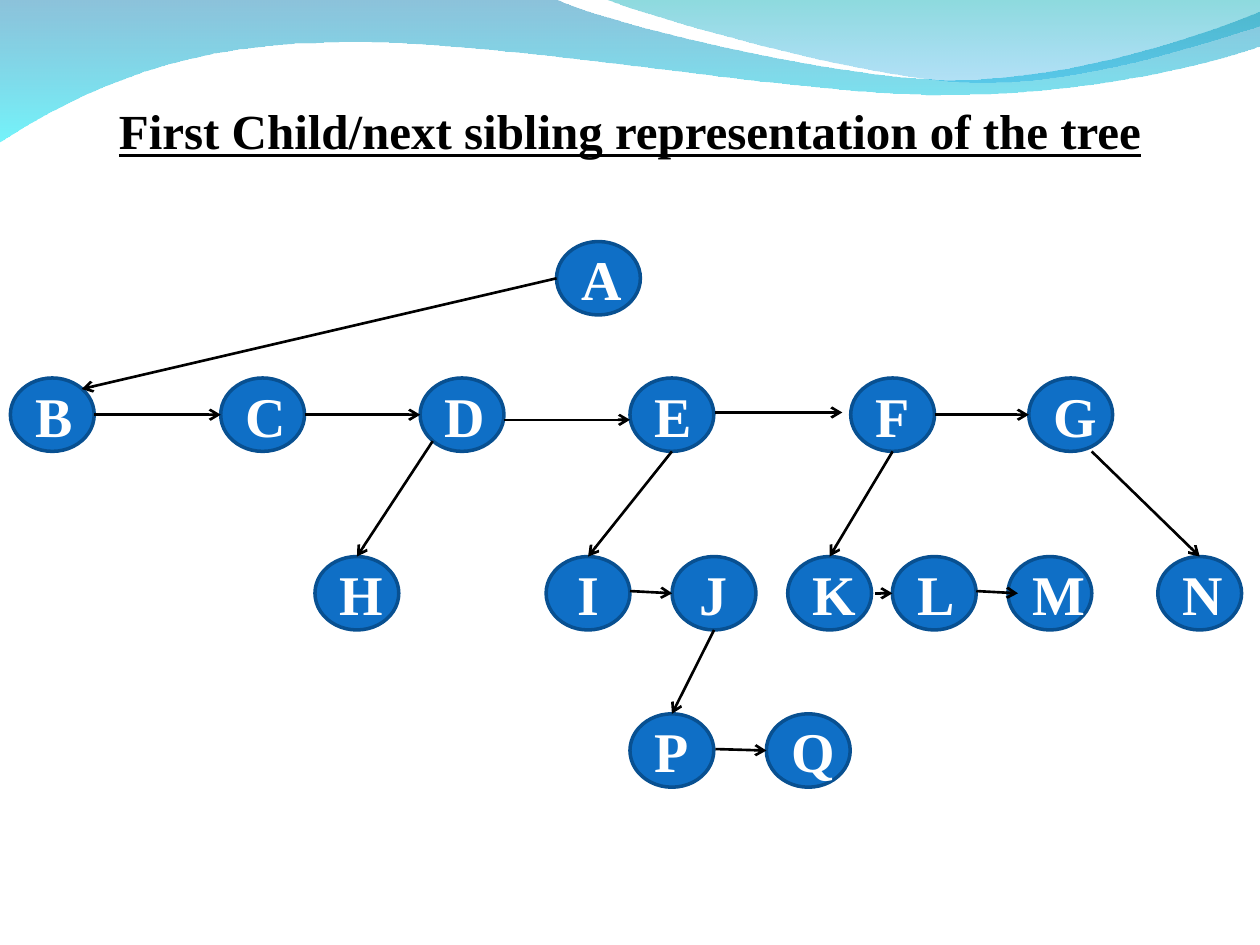
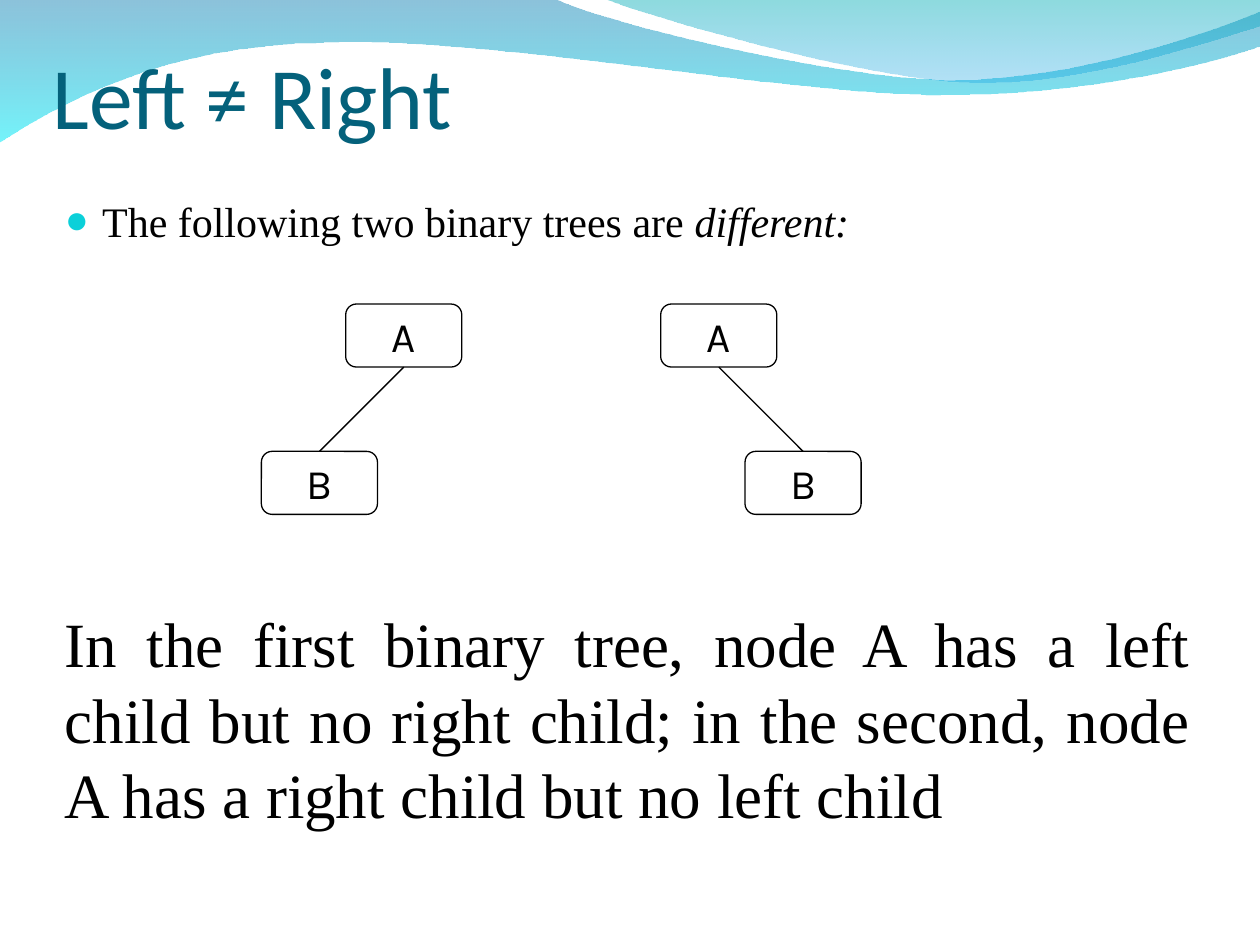
"""Build two slides on tree representation and binary trees."""
from dataclasses import dataclass
from typing import NamedTuple

from lxml.etree import SubElement
from pptx import Presentation
from pptx.dml.color import RGBColor
from pptx.enum.shapes import MSO_CONNECTOR, MSO_SHAPE
from pptx.enum.text import MSO_ANCHOR as Anchor, PP_ALIGN as Align
from pptx.oxml.ns import qn
from pptx.util import Cm, Pt

Point = tuple[float, float]


@dataclass(frozen=True)
class Theme:
    black: str = "000000"
    white: str = "FFFFFF"
    title: str = "04617B"
    bullet: str = "0BD0D9"
    node: str = "0F6FC6"
    node_edge: str = "085091"
    serif: str = "Times New Roman"
    sans: str = "Calibri"
    box_font: str = "Karla"
    heading_size: int = 28
    title_size: int = 50
    node_size: int = 32
    body_size: int = 24
    remark_size: int = 36
    edge_width: float = 0.75
    arrow_width: float = 1.5
    node_width: float = 2


class Style(NamedTuple):
    font: str
    size: int
    color: str
    bold: bool = False
    underline: bool = False


class Stop(NamedTuple):
    color: str
    alpha: int


class Wave(NamedTuple):
    start: Point
    segments: list[tuple[Point, ...]]
    stops: tuple[Stop, Stop]


class Area(NamedTuple):
    left: float
    top: float
    width: float
    height: float

    def at(self, across: float, down: float) -> Point:
        return self.left + across * self.width, self.top + down * self.height


class Link(NamedTuple):
    source: str
    target: str
    leaving: Point = (1, 0.5)
    arriving: Point = (0, 0.5)


THEME = Theme()
HEADING = Style(THEME.serif, THEME.heading_size, THEME.black, True, True)
TITLE = Style(THEME.sans, THEME.title_size, THEME.title)
BODY = Style(THEME.serif, THEME.body_size, THEME.black)
REMARK = Style(THEME.serif, THEME.remark_size, THEME.black)
NODE = Style(THEME.serif, THEME.node_size, THEME.white, True)
BOX = Style(THEME.box_font, THEME.body_size, THEME.black)

WAVES = [
    Wave((0, -0.03), [
        ((11.18, -0.03),),
        ((12.09, 0.43), (16.87, 1.6), (19.25, 1.6)),
        ((21.67, 1.6), (24.33, 0.66), (25.4, 0.23)),
        ((25.43, 0.91),),
        ((24.97, 1.12), (22.1, 1.93), (18.95, 1.91)),
        ((15.8, 1.91), (9.7, 0.71), (6.53, 0.86)),
        ((3.28, 0.89), (1.17, 2.11), (-0.03, 2.87)),
        ((0, -0.03),),
    ], (Stop("0079AF", 45), Stop("00EBF8", 55))),
    Wave((12.17, -0.03), [
        ((12.93, 0.28), (17.32, 1.57), (19.53, 1.65)),
        ((21.74, 1.75), (24.41, 0.81), (25.4, 0.53)),
        ((25.4, 0),),
        ((12.17, -0.03),),
    ], (Stop("00ADB6", 45), Stop("009BE5", 30))),
]

LEVELS = {
    4.87: {"A": 11.22},
    7.62: {"B": 0.21, "C": 4.45, "D": 8.47, "E": 12.7, "F": 17.15, "G": 20.74},
    11.22: {"H": 6.35, "I": 11.01, "J": 13.55, "K": 15.88, "L": 17.99,
            "M": 20.32, "N": 23.34},
    14.39: {"P": 12.7, "Q": 15.45},
}
BOTTOM, TOP = (0.5, 1), (0.5, 0)
LINKS = [
    Link("A", "B", (0, 0.5), (0.85, 0.15)),
    Link("B", "C"),
    Link("I", "J", (1, 0.47)),
    Link("E", "I", BOTTOM, TOP),
    Link("D", "H", (0.15, 0.86), TOP),
    Link("F", "G"),
    Link("C", "D"),
    Link("E", "F", (1.02, 0.47), (-0.1, 0.47)),
    Link("D", "E", (1, 0.57), (0, 0.57)),
    Link("L", "M", (1, 0.47), (0.12, 0.5)),
    Link("K", "L", (1.04, 0.5)),
    Link("F", "K", BOTTOM, TOP),
    Link("J", "P", BOTTOM, TOP),
    Link("P", "Q", (1.02, 0.48)),
    Link("G", "N", (0.75, 1), TOP),
]


def rgb(color: str) -> RGBColor:
    return RGBColor.from_string(color)


def bend(band, wave: Wave) -> None:
    outline = band._element.find(".//" + qn("a:path"))
    corners = iter(outline.findall(qn("a:lnTo")))
    for segment in wave.segments:
        lines = [next(corners) for _ in segment]
        if len(lines) == 3:
            curve = SubElement(outline, qn("a:cubicBezTo"))
            lines[0].addprevious(curve)
            for line in lines:
                curve.append(line[0])
                outline.remove(line)


def draw_wave(slide, wave: Wave) -> None:
    corners = [(Cm(x), Cm(y)) for segment in wave.segments for x, y in segment]
    builder = slide.shapes.build_freeform(*map(Cm, wave.start), scale=1)
    builder.add_line_segments(corners, close=True)
    band = builder.convert_to_shape()
    bend(band, wave)
    band.shadow.inherit = False
    band.line.fill.background()
    band.fill.gradient()
    band.fill.gradient_angle = 270
    for stop, wanted in zip(band.fill.gradient_stops, wave.stops):
        stop.color.rgb = rgb(wanted.color)
    for color, wanted in zip(band._element.spPr.iter(qn("a:srgbClr")), wave.stops):
        SubElement(color, qn("a:alpha"), val=str(wanted.alpha * 1000))


def add_run(paragraph, words: str, style: Style, italic: bool = False) -> None:
    run = paragraph.add_run()
    run.text = words
    font = run.font
    font.name, font.size, font.color.rgb = style.font, Pt(style.size), rgb(style.color)
    font.bold, font.underline, font.italic = style.bold, style.underline, italic


def add_text(slide, area: Area, words: str, style: Style, align: Align = Align.LEFT):
    frame = slide.shapes.add_textbox(*map(Cm, area)).text_frame
    frame.word_wrap = True
    frame.paragraphs[0].alignment = align
    add_run(frame.paragraphs[0], words, style)
    return frame


def add_bullet(paragraph) -> None:
    properties = paragraph._p.get_or_add_pPr()
    properties.set("marL", str(Cm(0.75)))
    properties.set("indent", str(-Cm(0.75)))
    tint = SubElement(properties, qn("a:buClr"))
    SubElement(tint, qn("a:srgbClr"), val=THEME.bullet)
    SubElement(properties, qn("a:buSzPct"), val="95000")
    SubElement(properties, qn("a:buFont"), typeface=THEME.serif)
    SubElement(properties, qn("a:buChar"), char="●")


def add_node(slide, kind: MSO_SHAPE, area: Area, letter: str, style: Style,
             edge: str, width: float, fill: str | None = None):
    node = slide.shapes.add_shape(kind, *map(Cm, area))
    node.shadow.inherit = False
    if fill:
        node.fill.solid()
        node.fill.fore_color.rgb = rgb(fill)
    else:
        node.fill.background()
    node.line.color.rgb, node.line.width = rgb(edge), Pt(width)
    frame = node.text_frame
    frame.vertical_anchor = Anchor.MIDDLE
    frame.paragraphs[0].alignment = Align.CENTER
    add_run(frame.paragraphs[0], letter, style)
    return node


def add_edge(slide, start: Point, end: Point, width: float, arrow: bool = False) -> None:
    edge = slide.shapes.add_connector(MSO_CONNECTOR.STRAIGHT, *map(Cm, start + end))
    edge.line.color.rgb, edge.line.width = rgb(THEME.black), Pt(width)
    properties = edge._element.spPr
    if arrow:
        SubElement(properties.find(qn("a:ln")), qn("a:tailEnd"), type="arrow")
    SubElement(properties, qn("a:effectLst"))


def add_slide(deck):
    slide = deck.slides.add_slide(deck.slide_layouts[6])
    for wave in WAVES:
        draw_wave(slide, wave)
    return slide


def sibling_slide(deck) -> None:
    slide = add_slide(deck)
    add_text(slide, Area(0.85, 1.91, 23.7, 2.64),
             "First Child/next sibling representation of the tree", HEADING, Align.CENTER)
    places = {letter: Area(left, top, 1.69, 1.48)
              for top, level in LEVELS.items() for letter, left in level.items()}
    for letter, area in places.items():
        add_node(slide, MSO_SHAPE.OVAL, area, letter, NODE,
                 THEME.node_edge, THEME.node_width, THEME.node)
    for link in LINKS:
        add_edge(slide, places[link.source].at(*link.leaving),
                 places[link.target].at(*link.arriving), THEME.arrow_width, arrow=True)


def add_binary_tree(slide, root_left: float, child_shift: float) -> None:
    root = Area(root_left, 6.13, 2.34, 1.27)
    child = Area(root_left + child_shift, 9.1, 2.34, 1.27)
    for letter, area in (("A", root), ("B", child)):
        box = add_node(slide, MSO_SHAPE.ROUNDED_RECTANGLE, area, letter, BOX,
                       THEME.black, THEME.edge_width)
        box.adjustments[0] = 0.17
        box.text_frame.word_wrap = False
    add_edge(slide, root.at(*BOTTOM), child.at(*TOP), THEME.edge_width)


def difference_slide(deck) -> None:
    slide = add_slide(deck)
    title = add_text(slide, Area(1.06, -0.22, 22.86, 3.18), "Left ≠ Right", TITLE)
    title.vertical_anchor = Anchor.BOTTOM
    title.margin_left = title.margin_right = title.margin_bottom = Cm(0)
    claim = add_text(slide, Area(1.06, 3.81, 23.7, 5.28),
                     "The following two binary trees are ", BODY, Align.JUSTIFY).paragraphs[0]
    add_bullet(claim)
    add_run(claim, "different:", BODY, italic=True)
    add_text(slide, Area(1.06, 12.06, 23.19, 4.98),
             "In the first binary tree, node A has a left child but no right child; "
             "in the second, node A has a right child but no left child",
             REMARK, Align.JUSTIFY)
    add_binary_tree(slide, 6.97, -1.7)
    add_binary_tree(slide, 13.32, 1.7)


def main() -> None:
    deck = Presentation()
    deck.slide_width, deck.slide_height = Cm(25.4), Cm(19.05)
    sibling_slide(deck)
    difference_slide(deck)
    deck.save("out.pptx")


if __name__ == "__main__":
    main()
